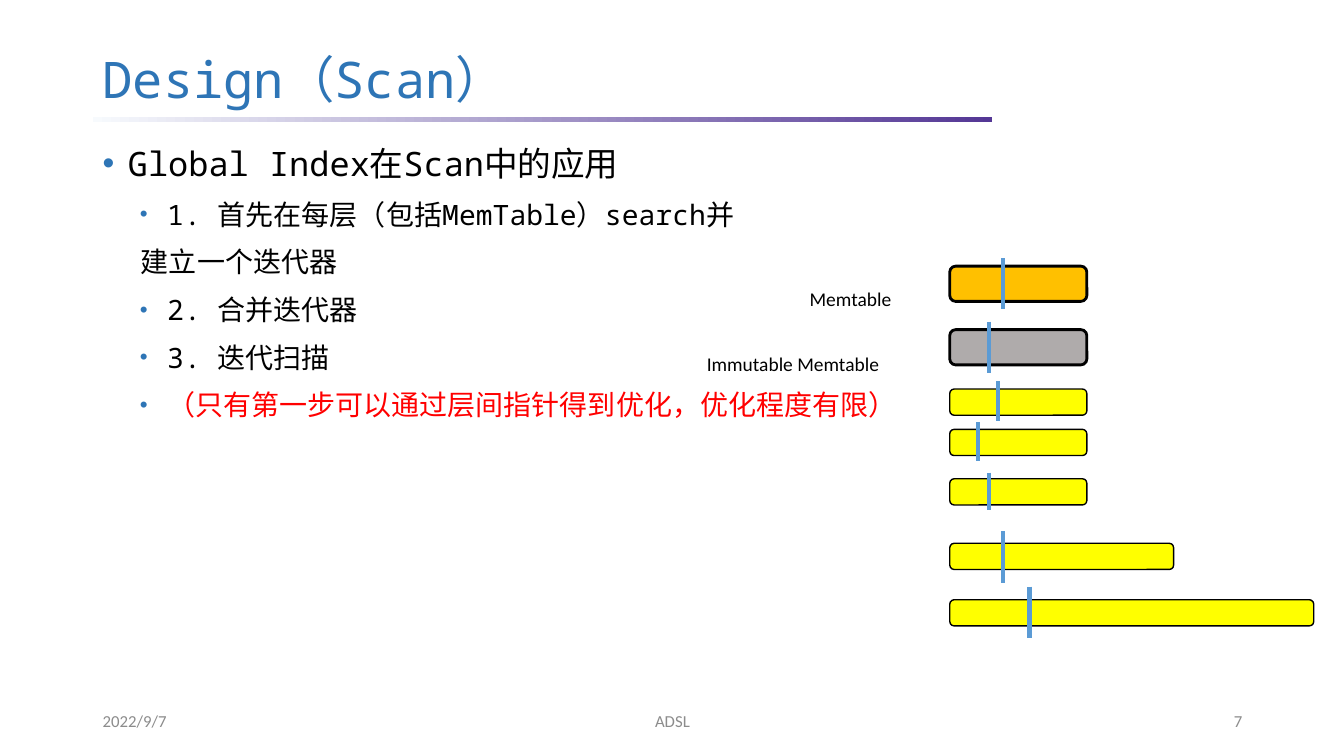
import pptx
import pptx.util
import pptx.dml.color
import pptx.enum.shapes
import pptx.enum.text
from lxml import etree
from pptx.oxml.ns import qn

Inches, Pt = pptx.util.Inches, pptx.util.Pt
RGBColor = pptx.dml.color.RGBColor
PP_ALIGN = pptx.enum.text.PP_ALIGN
ANCHOR = pptx.enum.text.MSO_ANCHOR
SHAPE = pptx.enum.shapes.MSO_SHAPE

BLUE = RGBColor(0x2E, 0x75, 0xB6)
POINTER_BLUE = RGBColor(0x5B, 0x9B, 0xD5)
PALE = RGBColor(0xF7, 0xFA, 0xFD)
PURPLE = RGBColor(0x54, 0x37, 0x95)
BLACK = RGBColor(0, 0, 0)
RED = RGBColor(0xFF, 0, 0)
ORANGE = RGBColor(0xFF, 0xC0, 0)
GRAY = RGBColor(0xAF, 0xAB, 0xAB)
YELLOW = RGBColor(0xFF, 0xFF, 0)
FOOTER_GRAY = RGBColor(0x8C, 0x8C, 0x8C)
MONO, SANS = "Noto Sans Mono", "Calibri"

deck = pptx.Presentation()
deck.slide_width, deck.slide_height = Inches(13.33), Inches(7.5)
slide = deck.slides.add_slide(deck.slide_layouts[6])


def add_frame(left, top, width, height, anchor=ANCHOR.TOP):
    box = slide.shapes.add_textbox(Inches(left), Inches(top), Inches(width), Inches(height))
    frame = box.text_frame
    frame.word_wrap = True
    frame.vertical_anchor = anchor
    return frame


def write(paragraph, text, size, font, color):
    paragraph.text = text
    paragraph.font.size = Pt(size)
    paragraph.font.name = font
    paragraph.font.color.rgb = color


# Title and the gradient rule under it
rule = slide.shapes.add_shape(SHAPE.RECTANGLE, Inches(0.92), Inches(1.16), Inches(8.92), Inches(0.05))
rule.shadow.inherit = False
rule.line.fill.background()
rule.fill.gradient()
rule.fill.gradient_angle = 0
for stop, color in zip(rule.fill.gradient_stops, (PALE, PURPLE)):
    stop.color.rgb = color

title = add_frame(0.92, 0.47, 8.81, 0.69, ANCHOR.MIDDLE).paragraphs[0]
title.line_spacing = 0.9
write(title, "Design（Scan）", 36, MONO, BLUE)

# Bulleted text: text, size, colour, left margin, bullet size in percent (0 for none)
points = [
    ("Global Index在Scan中的应用", 24, BLACK, 0.25, 100),
    ("1. 首先在每层（包括MemTable）search并", 20, BLACK, 0.64, 80),
    ("建立一个迭代器", 20, BLACK, 0.38, 0),
    ("2. 合并迭代器", 20, BLACK, 0.64, 80),
    ("3. 迭代扫描", 20, BLACK, 0.64, 80),
    ("（只有第一步可以通过层间指针得到优化，优化程度有限）", 20, RED, 0.64, 80),
]
body = add_frame(0.92, 1.37, 11.5, 5.4)
for index, (text, size, color, margin, bullet_size) in enumerate(points):
    point = body.add_paragraph() if index else body.paragraphs[0]
    properties = point._p.get_or_add_pPr()
    properties.set("marL", str(Inches(margin)))
    if bullet_size:
        properties.set("indent", str(Inches(-0.27)))
        bullet_color = etree.SubElement(properties, qn("a:buClr"))
        etree.SubElement(bullet_color, qn("a:srgbClr"), val=str(BLUE))
        etree.SubElement(properties, qn("a:buSzPct"), val=str(bullet_size * 1000))
        etree.SubElement(properties, qn("a:buFont"), typeface="Arial")
        etree.SubElement(properties, qn("a:buChar"), char="•")
    if index:
        point.space_before = Pt(10)
    write(point, text, size, MONO, color)

# Footer
for text, left, width, align in [
    ("2022/9/7", 0.92, 3, PP_ALIGN.LEFT),
    ("ADSL", 4.42, 4.5, PP_ALIGN.CENTER),
    ("7", 9.42, 3, PP_ALIGN.RIGHT),
]:
    footer = add_frame(left, 6.95, width, 0.4, ANCHOR.MIDDLE).paragraphs[0]
    footer.alignment = align
    write(footer, text, 12, SANS, FOOTER_GRAY)

# Labels of the in-memory tables, set as subscript
for text, left, top, width in [("Memtable", 8.03, 2.62, 1.31), ("Immutable Memtable", 7.01, 3.27, 2.68)]:
    frame = add_frame(left, top, width, 0.27)
    frame.margin_left = frame.margin_right = frame.margin_top = frame.margin_bottom = 0
    label = frame.paragraphs[0]
    write(label, text, 24, SANS, BLACK)
    label.runs[0].font._element.set("baseline", "-25000")

# Levels: top, width, height, fill, outline
levels = [
    (2.64, 1.36, 0.35, ORANGE, 2),
    (3.27, 1.36, 0.35, GRAY, 2),
    (3.86, 1.36, 0.26, YELLOW, 1),
    (4.26, 1.36, 0.26, YELLOW, 1),
    (4.75, 1.36, 0.26, YELLOW, 1),
    (5.39, 2.22, 0.26, YELLOW, 1),
    (5.95, 3.61, 0.26, YELLOW, 1),
]
for top, width, height, color, outline in levels:
    level = slide.shapes.add_shape(
        SHAPE.ROUNDED_RECTANGLE, Inches(9.42), Inches(top), Inches(width), Inches(height))
    level.shadow.inherit = False
    level.fill.solid()
    level.fill.fore_color.rgb = color
    level.line.color.rgb = BLACK
    level.line.width = Pt(outline)

# Iterator position in each level: x, top, bottom
for x, top, bottom in [
    (9.95, 2.56, 3.07), (9.81, 3.19, 3.7), (9.9, 3.78, 4.18), (9.7, 4.19, 4.57),
    (9.81, 4.69, 5.06), (9.95, 5.27, 5.78), (10.21, 5.82, 6.33),
]:
    iterator = slide.shapes.add_connector(
        pptx.enum.shapes.MSO_CONNECTOR.STRAIGHT, Inches(x), Inches(top), Inches(x), Inches(bottom))
    iterator.line.color.rgb = POINTER_BLUE
    iterator.line.width = Pt(3)
    etree.SubElement(iterator._element.spPr, qn("a:effectLst"))

deck.save("out.pptx")
